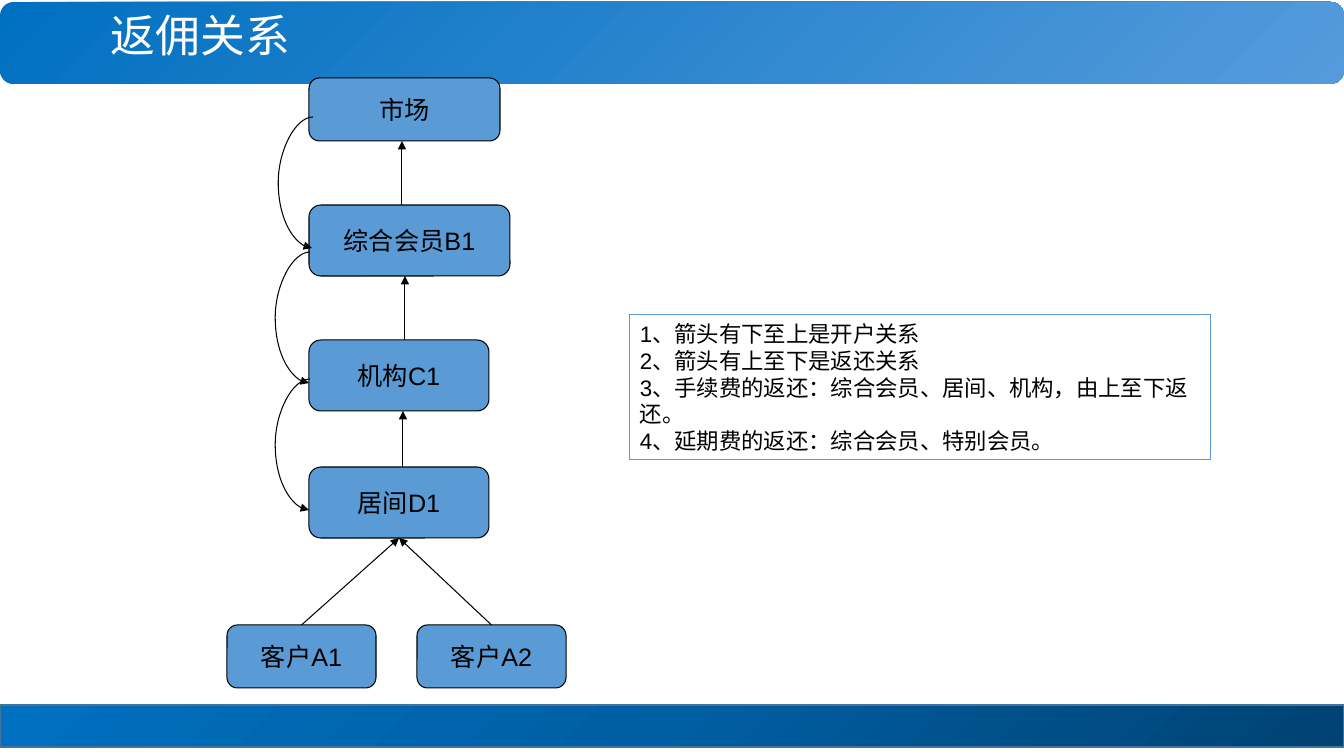
"""Build the rebate relationship slide."""
import pptx
import pptx.dml.color
import pptx.enum.shapes
import pptx.enum.text
import pptx.oxml
import pptx.oxml.ns
import pptx.util

PX = 914400 / 100.8
kind = pptx.enum.shapes.MSO_SHAPE
link = pptx.enum.shapes.MSO_CONNECTOR
align = pptx.enum.text.PP_ALIGN
anchor = pptx.enum.text.MSO_ANCHOR
qn = pptx.oxml.ns.qn
parse = pptx.oxml.parse_xml
NS = 'xmlns:a="http://schemas.openxmlformats.org/drawingml/2006/main"'


def px(*sizes):
    return [round(size * PX) for size in sizes]


def color(code):
    return pptx.dml.color.RGBColor.from_string(code)


deck = pptx.Presentation()
deck.slide_width, deck.slide_height = px(1344, 756)
slide = deck.slides.add_slide(deck.slide_layouts[6])
shapes = slide.shapes

bands = [
    (kind.RECTANGLE, (0, 705, 1344, 42), "43739E",
     [(0, "004272"), (50, "005EA2"), (100, "0070C0")],
     '<a:path path="circle"><a:fillToRect l="100000" t="100000"/></a:path>'),
    (kind.ROUNDED_RECTANGLE, (0, 2, 1344, 82), None,
     [(0, "0070C0"), (100, "559BDB")],
     '<a:lin ang="2700000" scaled="0"/>'),
]
for form, area, edge, stops, way in bands:
    band = shapes.add_shape(form, *px(*area))
    band.shadow.inherit = False
    if edge:
        band.line.color.rgb = color(edge)
        band.line.width = pptx.util.Pt(1)
    else:
        band.line.fill.background()
    band.fill.solid()
    marks = "".join(f'<a:gs pos="{spot * 1000}"><a:srgbClr val="{code}"/></a:gs>'
                    for spot, code in stops)
    props = band.element.spPr
    props.replace(props.find(qn("a:solidFill")), parse(
        f'<a:gradFill {NS} rotWithShape="1"><a:gsLst>{marks}</a:gsLst>{way}</a:gradFill>'))

title = shapes.add_textbox(*px(101, -2, 663, 80)).text_frame
title.word_wrap = True
title.vertical_anchor = anchor.MIDDLE
head = title.paragraphs[0]
head.text = "返佣关系"
head.line_spacing = 0.9
head.font.size = pptx.util.Pt(32)
head.font.name = "Calibri"
head.font.color.rgb = color("FFFFFF")

nodes = {}
for name, *area in [
    ("市场", 309, 78, 191, 63),
    ("综合会员B1", 309, 205, 201, 71),
    ("机构C1", 309, 340, 180, 71),
    ("居间D1", 309, 467, 180, 71),
    ("客户A1", 227, 625, 149, 63),
    ("客户A2", 417, 625, 149, 63),
]:
    node = shapes.add_shape(kind.FLOWCHART_ALTERNATE_PROCESS, *px(*area))
    node.shadow.inherit = False
    node.fill.solid()
    node.fill.fore_color.rgb = color("5B9BD5")
    node.line.color.rgb = color("000000")
    node.line.width = pptx.util.Pt(0.75)
    frame = node.text_frame
    frame.word_wrap = False
    frame.vertical_anchor = anchor.MIDDLE
    label = frame.paragraphs[0]
    label.text = name
    label.alignment = align.CENTER
    label.font.size = pptx.util.Pt(18)
    label.font.name = "Arial"
    label.font.color.rgb = color("000000")
    nodes[name] = node

note = shapes.add_shape(kind.RECTANGLE, *px(630, 315, 581, 145))
note.shadow.inherit = False
note.fill.background()
note.line.color.rgb = color("5B9BD5")
note.line.width = pptx.util.Pt(0.75)
frame = note.text_frame
frame.word_wrap = True
frame.auto_size = pptx.enum.text.MSO_AUTO_SIZE.SHAPE_TO_FIT_TEXT
frame.vertical_anchor = anchor.TOP
frame.text = "\n".join([
    "1、箭头有下至上是开户关系",
    "2、箭头有上至下是返还关系",
    "3、手续费的返还：综合会员、居间、机构，由上至下返还。",
    "4、延期费的返还：综合会员、特别会员。",
])
for item in frame.paragraphs:
    item.alignment = align.LEFT
    item.font.size = pptx.util.Pt(16)
    item.font.name = "Arial"
    item.font.color.rgb = color("000000")

lines = []
for ends in [(402, 205, 402, 141), (405, 340, 405, 276), (403, 467, 403, 411)]:
    lines.append(shapes.add_connector(link.STRAIGHT, *px(*ends)))

for name in ["客户A1", "客户A2"]:
    line = shapes.add_connector(link.STRAIGHT, 0, 0, 0, 0)
    line.begin_connect(nodes[name], 0)
    line.end_connect(nodes["居间D1"], 2)
    lines.append(line)

for left, top in [(312, 117), (309, 252), (309, 379)]:
    curve = shapes.add_connector(link.CURVE, *px(left + 1, top, left, top + 131))
    shape = curve.element.spPr.find(qn("a:prstGeom"))
    for old in list(shape):
        shape.remove(old)
    shape.append(parse(f'<a:avLst {NS}><a:gd name="adj1" fmla="val 3500000"/></a:avLst>'))
    lines.append(curve)

for line in lines:
    line.line.color.rgb = color("000000")
    line.line.width = pptx.util.Pt(0.75)
    line.line._get_or_add_ln().append(parse(f'<a:tailEnd {NS} type="triangle"/>'))
    line.element.spPr.append(parse(f'<a:effectLst {NS}/>'))

deck.save("out.pptx")
